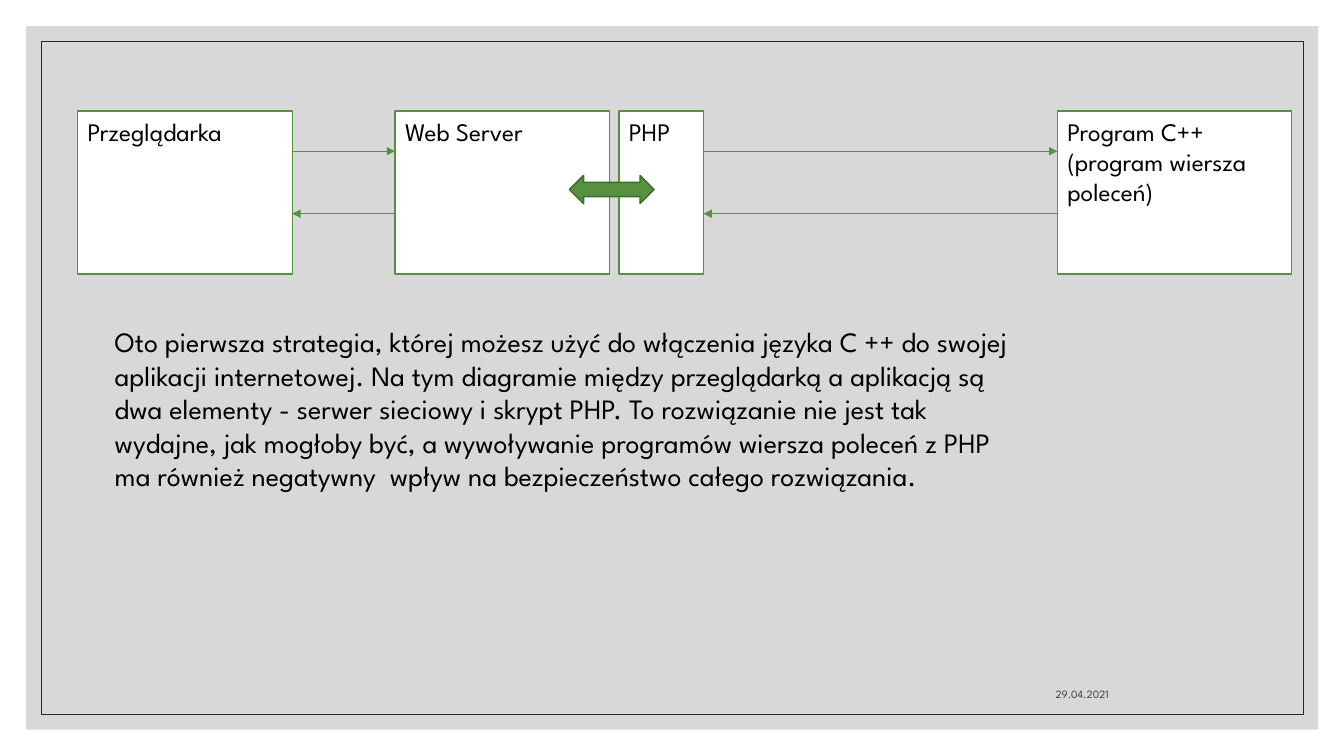
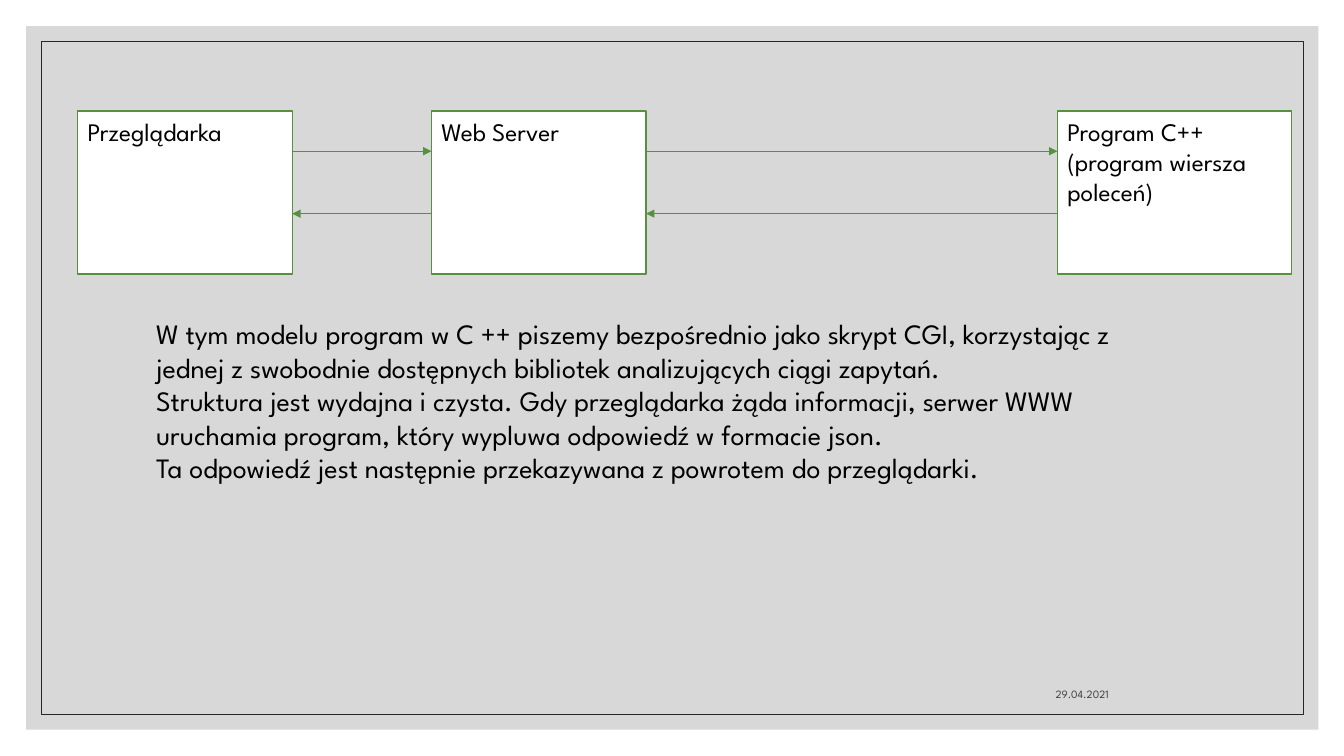
import dataclasses

import lxml.etree
import pptx
import pptx.dml.color
import pptx.enum.shapes
import pptx.enum.text
import pptx.oxml
import pptx.oxml.ns
import pptx.util

Pt = pptx.util.Pt
Kind = pptx.enum.shapes.MSO_SHAPE
Anchor = pptx.enum.text.MSO_ANCHOR
Align = pptx.enum.text.PP_ALIGN


@dataclasses.dataclass(frozen=True)
class Theme:
    """Colours, type sizes, line widths and the rows of the diagram, in points."""

    font: str = "League Spartan"
    band: str = "BFBFBF"
    band_alpha: int = 60
    frame: str = "262626"
    date: str = "404040"
    text: str = "000000"
    box: str = "FFFFFF"
    green: str = "57903F"
    dark_green: str = "406B2F"
    body_size: float = 20
    box_size: float = 18
    date_size: float = 8
    thin: float = 0.5
    outline: float = 1
    box_top: float = 79.2
    box_height: float = 116.64
    request_y: float = 108
    reply_y: float = 152.64


THEME = Theme()
BROWSER = (55.44, 153.36, ["Przeglądarka"])
PROGRAM = (755.28, 167.04, ["Program C++", "(program wiersza poleceń)"])


def rgb(value):
    """Turn a hex string into a colour."""
    return pptx.dml.color.RGBColor.from_string(value)


def write_text(shape, paragraphs, *, size, color=THEME.text, align=Align.LEFT,
               anchor=Anchor.TOP):
    """Write paragraphs into a shape with one format."""
    frame = shape.text_frame
    frame.word_wrap = True
    frame.vertical_anchor = anchor
    for index, text in enumerate(paragraphs):
        paragraph = frame.add_paragraph() if index else frame.paragraphs[0]
        paragraph.alignment = align
        run = paragraph.add_run()
        run.text = text
        run.font.name = THEME.font
        run.font.size = Pt(size)
        run.font.color.rgb = rgb(color)


def add_shape(slide, kind, left, top, width, height, *, fill=None, line=None,
              weight=THEME.outline):
    """Add a flat preset shape; no fill or line unless a colour is given."""
    shape = slide.shapes.add_shape(kind, Pt(left), Pt(top), Pt(width), Pt(height))
    shape.shadow.inherit = False
    if fill:
        shape.fill.solid()
        shape.fill.fore_color.rgb = rgb(fill)
    else:
        shape.fill.background()
    if line:
        shape.line.color.rgb = rgb(line)
        shape.line.width = Pt(weight)
    else:
        shape.line.fill.background()
    return shape


def add_text(slide, paragraphs, left, top, width, height, **text_format):
    """Add a wrapping text box."""
    box = slide.shapes.add_textbox(Pt(left), Pt(top), Pt(width), Pt(height))
    write_text(box, paragraphs, **text_format)


def add_arrow(slide, start, end, y):
    """Add a thin horizontal arrow that points at end."""
    arrow = slide.shapes.add_connector(
        pptx.enum.shapes.MSO_CONNECTOR.STRAIGHT, Pt(start), Pt(y), Pt(end), Pt(y))
    arrow.line.color.rgb = rgb(THEME.green)
    arrow.line.width = Pt(THEME.thin)
    qn = pptx.oxml.ns.qn
    lxml.etree.SubElement(arrow.line._get_or_add_ln(), qn("a:tailEnd"), type="triangle")
    lxml.etree.SubElement(arrow._element.spPr, qn("a:effectLst"))


def add_exchange(slide, left, right):
    """Add the request arrow and the reply arrow between two boxes."""
    add_arrow(slide, left, right, THEME.request_y)
    add_arrow(slide, right, left, THEME.reply_y)


def add_box(slide, left, width, label):
    """Add one labelled box of the diagram."""
    box = add_shape(slide, Kind.RECTANGLE, left, THEME.box_top, width,
                    THEME.box_height, fill=THEME.box, line=THEME.green)
    write_text(box, label, size=THEME.box_size)


def add_base_slide(presentation):
    """Add a slide with the grey band, the thin frame and the date."""
    slide = presentation.slides.add_slide(presentation.slide_layouts[6])
    band = add_shape(slide, Kind.RECTANGLE, 18.72, 18.72, 923.04, 502.56,
                     fill=THEME.band)
    color = band._element.spPr.find(".//" + pptx.oxml.ns.qn("a:srgbClr"))
    lxml.etree.SubElement(color, pptx.oxml.ns.qn("a:alpha"),
                          val=str(THEME.band_alpha * 1000))
    add_shape(slide, Kind.RECTANGLE, 29.52, 29.52, 901.44, 480.96,
              line=THEME.frame, weight=THEME.thin)
    add_text(slide, ["29.04.2021"], 571.68, 475.2, 227.52, 28.8,
             size=THEME.date_size, color=THEME.date, align=Align.RIGHT,
             anchor=Anchor.BOTTOM)
    return slide


def add_diagram(slide, server_left, php=None):
    """Add the boxes and arrows from browser to program, with PHP if given."""
    server = (server_left, 153.36, ["Web Server"])
    boxes = [BROWSER, server, *([php] if php else []), PROGRAM]
    for left, width, label in boxes:
        add_box(slide, left, width, label)
    add_exchange(slide, BROWSER[0] + BROWSER[1], server_left)
    if php:
        add_shape(slide, Kind.LEFT_RIGHT_ARROW, 406.8, 125.28, 60.48, 20.16,
                  fill=THEME.green, line=THEME.dark_green)
    caller_left, caller_width, _ = php or server
    add_exchange(slide, caller_left + caller_width, PROGRAM[0])


def main():
    """Build both slides and save them."""
    presentation = pptx.Presentation()
    presentation.slide_width = Pt(960)
    presentation.slide_height = Pt(540)

    slide = add_base_slide(presentation)
    add_diagram(slide, 282.24, php=(442.08, 60.48, ["PHP"]))
    add_text(slide, [
        "Oto pierwsza strategia, której możesz użyć do włączenia języka C ++ do "
        "swojej aplikacji internetowej. Na tym diagramie między przeglądarką a "
        "aplikacją są dwa elementy - serwer sieciowy i skrypt PHP. To rozwiązanie "
        "nie jest tak wydajne, jak mogłoby być, a wywoływanie programów wiersza "
        "poleceń z PHP ma również negatywny  wpływ na bezpieczeństwo całego "
        "rozwiązania.",
    ], 74.88, 228.24, 664.56, 152.64, size=THEME.body_size)

    slide = add_base_slide(presentation)
    add_diagram(slide, 308.16)
    add_text(slide, [
        "W tym modelu program w C ++ piszemy bezpośrednio jako skrypt CGI, "
        "korzystając z jednej z swobodnie dostępnych bibliotek analizujących "
        "ciągi zapytań.",
        "Struktura jest wydajna i czysta. Gdy przeglądarka żąda informacji, "
        "serwer WWW uruchamia program, który wypluwa odpowiedź w formacie json.",
        "Ta odpowiedź jest następnie przekazywana z powrotem do przeglądarki.",
    ], 104.4, 222.48, 701.28, 200.88, size=THEME.body_size)

    presentation.save("out.pptx")


main()
